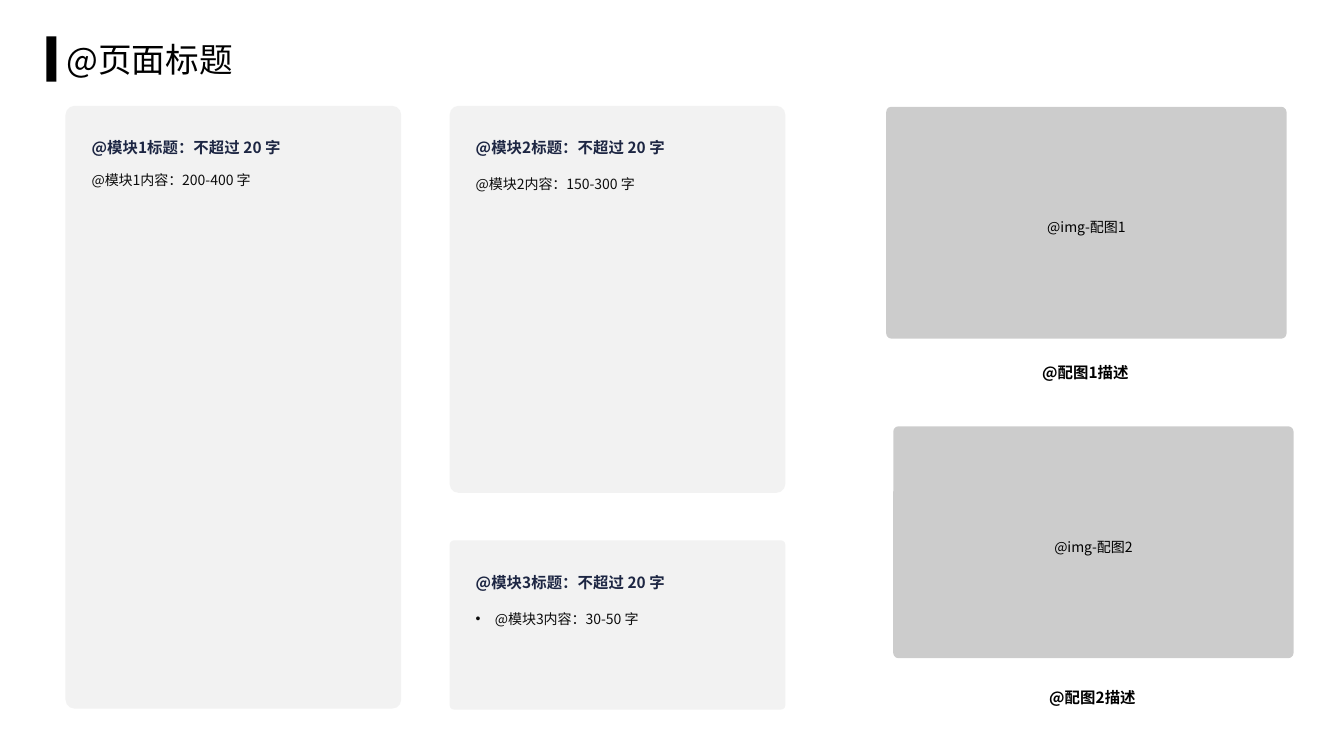
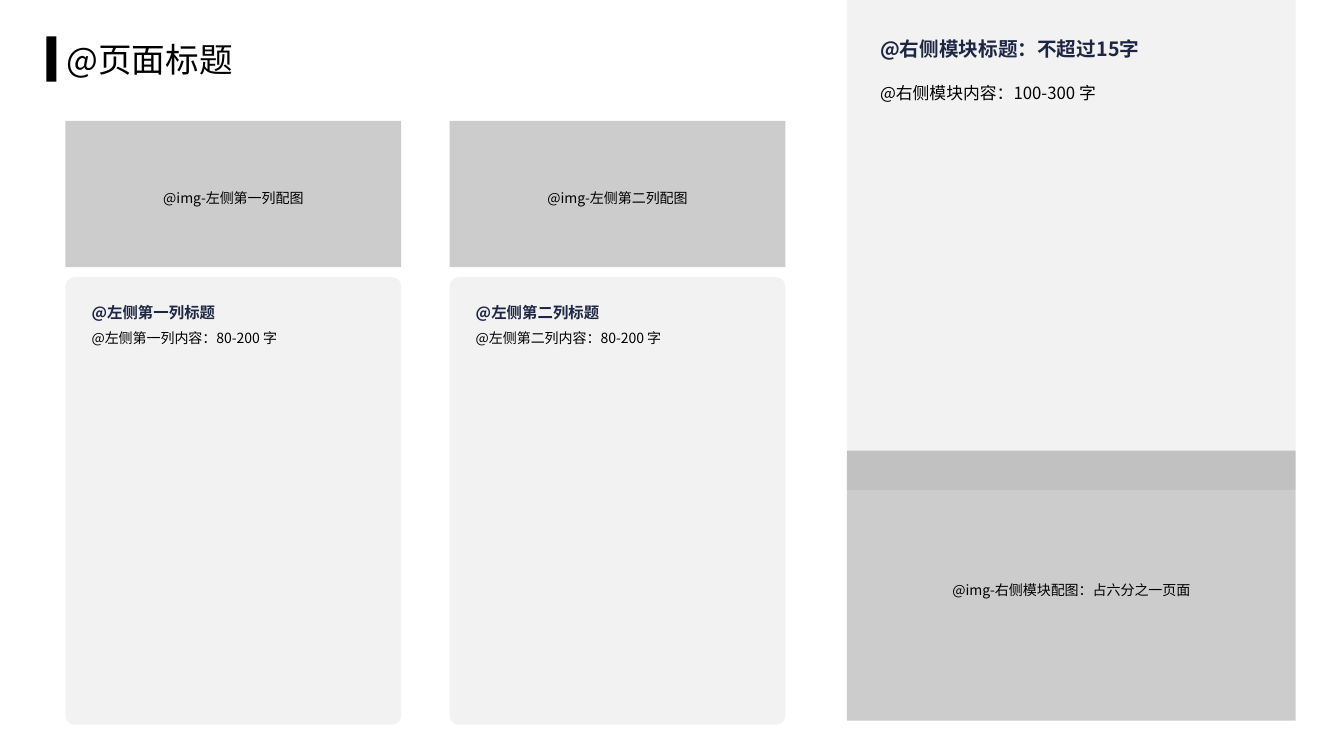
from lxml import etree
from pptx import Presentation
from pptx.dml.color import RGBColor
from pptx.enum.shapes import MSO_SHAPE
from pptx.enum.text import MSO_ANCHOR, MSO_AUTO_SIZE, PP_ALIGN
from pptx.oxml.ns import qn
from pptx.util import Inches, Pt

RECTANGLE = MSO_SHAPE.RECTANGLE
ROUNDED = MSO_SHAPE.ROUNDED_RECTANGLE
TOP, MIDDLE = MSO_ANCHOR.TOP, MSO_ANCHOR.MIDDLE
LEFT, CENTER = PP_ALIGN.LEFT, PP_ALIGN.CENTER
GROW = MSO_AUTO_SIZE.SHAPE_TO_FIT_TEXT

FONT = "Noto Sans CJK SC"
COLORS = {
    "black": "000000",
    "body": "0D0D0D",
    "heading": "1D2643",
    "panel": "F2F2F2",
}
TITLE_ONLY = 5
COLUMN_START, COLUMN_PITCH, COLUMN_WIDTH = 0.65, 3.81, 3.33
PADDING = 0.16
BOTTOM_MARGIN = 0.18
HEADING_WIDTH, HEADING_HEIGHT = 2.91, 0.38


def column_left(column):
    return COLUMN_START + column * COLUMN_PITCH


class Deck:
    def __init__(self):
        self.presentation = Presentation()
        self.presentation.slide_width = Inches(13.33)
        self.presentation.slide_height = Inches(7.5)
        self.slide = None

    def new_slide(self, title):
        layout = self.presentation.slide_layouts[TITLE_ONLY]
        self.slide = self.presentation.slides.add_slide(layout)
        self.block(RECTANGLE, 0.46, 0.36, 0.1, 0.45, "black")
        shape = self.slide.shapes.title
        shape.left, shape.top = Inches(0.56), Inches(0.28)
        shape.width, shape.height = Inches(12.22), Inches(0.61)
        self.set_text(shape, title, 24, anchor=MIDDLE, spacing=1)

    def set_text(self, shape, text, size, color="black", bold=False,
                 align=LEFT, anchor=TOP, spacing=1.5):
        frame = shape.text_frame
        frame.text = text
        frame.word_wrap = True
        frame.vertical_anchor = anchor
        paragraph = frame.paragraphs[0]
        paragraph.alignment = align
        paragraph.line_spacing = spacing
        for run in paragraph.runs:
            run.font.name = FONT
            run.font.size = Pt(size)
            run.font.bold = bold
            run.font.color.rgb = RGBColor.from_string(COLORS[color])
            latin = run.font._element.find(qn("a:latin"))
            east_asian = etree.Element(qn("a:ea"), typeface=FONT)
            latin.addnext(east_asian)
        return paragraph

    def block(self, kind, left, top, width, height, color,
              corner=None, opacity=None):
        shape = self.slide.shapes.add_shape(
            kind, Inches(left), Inches(top), Inches(width), Inches(height))
        shape.shadow.inherit = False
        shape.line.fill.background()
        shape.fill.solid()
        shape.fill.fore_color.rgb = RGBColor.from_string(COLORS[color])
        if corner is not None:
            shape.adjustments[0] = corner
        if opacity is not None:
            fill_color = shape._element.spPr.find(qn("a:solidFill"))[0]
            etree.SubElement(fill_color, qn("a:alpha"),
                             val=str(opacity * 1000))
        return shape

    def text(self, text, left, top, width, height, size, **style):
        shape = self.slide.shapes.add_textbox(
            Inches(left), Inches(top), Inches(width), Inches(height))
        return self.set_text(shape, text, size, **style)

    def heading(self, text, left, top, color="heading", align=LEFT):
        shape = self.slide.shapes.add_textbox(
            Inches(left), Inches(top),
            Inches(HEADING_WIDTH), Inches(HEADING_HEIGHT))
        self.set_text(shape, text, 11, color, bold=True, align=align)
        shape.text_frame.auto_size = GROW

    def bullet(self, paragraph):
        properties = paragraph._p.get_or_add_pPr()
        properties.set("marL", str(Inches(0.19)))
        properties.set("indent", str(-Inches(0.19)))
        etree.SubElement(properties, qn("a:buFont"), typeface="Arial")
        etree.SubElement(properties, qn("a:buChar"), char="•")

    def panel(self, column, top, height, heading, body,
              heading_offset=0.18, body_offset=0.56, body_color="body"):
        left = column_left(column)
        self.block(ROUNDED, left, top, COLUMN_WIDTH, height, "panel", 0.027)
        paragraph = self.text(
            body, left + PADDING, top + body_offset,
            COLUMN_WIDTH - 2 * PADDING, height - body_offset - BOTTOM_MARGIN,
            10, color=body_color)
        self.heading(heading, left + PADDING, top + heading_offset)
        return paragraph

    def picture_area(self, text, left, top, width, height,
                     kind=RECTANGLE, corner=None):
        shape = self.block(kind, left, top, width, height, "black",
                           corner, opacity=20)
        self.set_text(shape, text, 10, align=CENTER, anchor=MIDDLE)

    def captioned_picture(self, number, left, top, caption_top):
        width = 3.97
        self.picture_area(f"@img-配图{number}", left, top, width, 2.3,
                          ROUNDED, 0.022)
        self.heading(f"@配图{number}描述",
                     left + (width - HEADING_WIDTH) / 2 - 0.01, caption_top,
                     "black", CENTER)


def build_modules(deck):
    deck.new_slide("@页面标题")
    deck.panel(0, 1.05, 5.98, "@模块1标题：不超过 20 字",
               "@模块1内容：200-400 字", body_offset=0.52)
    deck.panel(1, 1.05, 3.84, "@模块2标题：不超过 20 字",
               "@模块2内容：150-300 字")
    paragraph = deck.panel(1, 5.36, 1.68, "@模块3标题：不超过 20 字",
                           "@模块3内容：30-50 字")
    deck.bullet(paragraph)
    deck.captioned_picture(1, 8.79, 1.06, 3.46)
    deck.captioned_picture(2, 8.86, 4.23, 6.69)


def build_columns(deck):
    deck.new_slide("@页面标题")
    side_left, side_width = 8.4, 4.45
    deck.block(RECTANGLE, side_left, 0, side_width, 4.86, "panel")
    deck.picture_area("@img-右侧模块配图：占六分之一页面",
                      side_left, 4.47, side_width, 2.68)
    deck.text("@右侧模块内容：100-300 字", 8.63, 0.67, 4.01, 3.62, 12)
    deck.text("@右侧模块标题：不超过15字", 8.63, 0.3, 3.92, 0.36, 14,
              color="heading", bold=True, anchor=MIDDLE, spacing=1)
    for column, name in enumerate(("左侧第一列", "左侧第二列")):
        deck.panel(column, 2.75, 4.44, f"@{name}标题",
                   f"@{name}内容：80-200 字", heading_offset=0.12,
                   body_offset=0.39, body_color="black")
        deck.picture_area(f"@img-{name}配图", column_left(column), 1.2,
                          COLUMN_WIDTH, 1.45)


def main():
    deck = Deck()
    build_modules(deck)
    build_columns(deck)
    deck.presentation.save("out.pptx")


if __name__ == "__main__":
    main()
